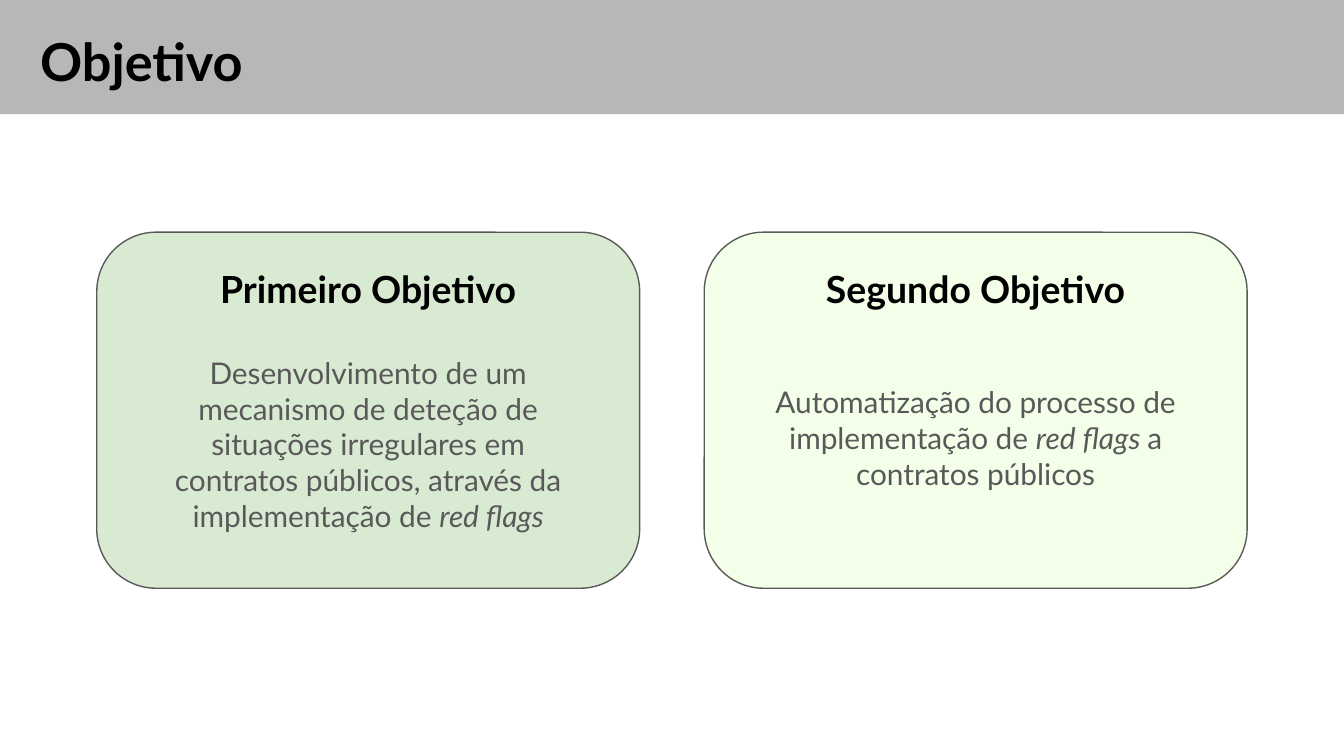
"""Build the "Objetivo" slide with two objective cards."""
from pptx import Presentation
from pptx import util as u
from pptx.dml.color import RGBColor
from pptx.enum import shapes, text

BLACK = RGBColor(0x00, 0x00, 0x00)
GRAY = RGBColor(0x59, 0x59, 0x59)
BANNER = RGBColor(0xB7, 0xB7, 0xB7)
GREEN = RGBColor(0xD9, 0xEA, 0xD3)
LIME = RGBColor(0xF3, 0xFF, 0xE9)

CARD_W, CARD_H, CARD_TOP = 10.26, 6.73, 4.39
CARD_LEFT, CARD_STEP = 1.83, 11.48

CARDS = [
    (GREEN, "Primeiro Objetivo", 6.45, 8.74, 3.58,
     [("Desenvolvimento de um mecanismo de deteção de situações irregulares em "
       "contratos públicos, através da implementação de ", False),
      ("red flags", True)]),
    (LIME, "Segundo Objetivo", 7.01, 9.3, 2.46,
     [("Automatização do processo de implementação de ", False),
      ("red flags ", True),
      ("a contratos públicos", False)]),
]


def add_run(p, content, size, color, bold=False, italic=False):
    r = p.add_run()
    r.text = content
    r.font.name = "Lato"
    r.font.size = u.Pt(size)
    r.font.color.rgb = color
    r.font.bold = bold
    r.font.italic = italic


def add_centered_box(s, center, top, width, height):
    sp = s.shapes.add_textbox(u.Cm(center - width / 2), u.Cm(top), u.Cm(width), u.Cm(height))
    tf = sp.text_frame
    tf.word_wrap = True
    tf.margin_left = tf.margin_right = tf.margin_top = tf.margin_bottom = u.Cm(0.25)
    p = tf.paragraphs[0]
    p.alignment = text.PP_ALIGN.CENTER
    return p


prs = Presentation()
prs.slide_width = u.Cm(25.4)
prs.slide_height = u.Cm(14.29)
s = prs.slides.add_slide(prs.slide_layouts[6])

banner = s.shapes.add_shape(shapes.MSO_SHAPE.RECTANGLE, 0, 0, prs.slide_width, u.Cm(2.16))
banner.shadow.inherit = False
banner.fill.solid()
banner.fill.fore_color.rgb = BANNER
banner.line.fill.background()
tf = banner.text_frame
tf.word_wrap = True
tf.vertical_anchor = text.MSO_ANCHOR.TOP
tf.margin_left = u.Cm(0.76)
tf.margin_top = u.Cm(0.56)
tf.margin_right = tf.margin_bottom = u.Cm(0.25)
p = tf.paragraphs[0]
p.alignment = text.PP_ALIGN.LEFT
add_run(p, "Objetivo", 28, BLACK, bold=True)

for i, (fill, heading, top, width, height, body) in enumerate(CARDS):
    left = CARD_LEFT + i * CARD_STEP
    center = left + CARD_W / 2
    card = s.shapes.add_shape(shapes.MSO_SHAPE.ROUNDED_RECTANGLE,
                              u.Cm(left), u.Cm(CARD_TOP), u.Cm(CARD_W), u.Cm(CARD_H))
    card.shadow.inherit = False
    card.fill.solid()
    card.fill.fore_color.rgb = fill
    card.line.color.rgb = GRAY
    card.line.width = u.Pt(0.75)

    p = add_centered_box(s, center, 4.78, 7.42, 1.37)
    add_run(p, heading, 20, BLACK, bold=True)
    p = add_centered_box(s, center, top, width, height)
    for content, italic in body:
        add_run(p, content, 16, GRAY, italic=italic)

prs.save("out.pptx")
